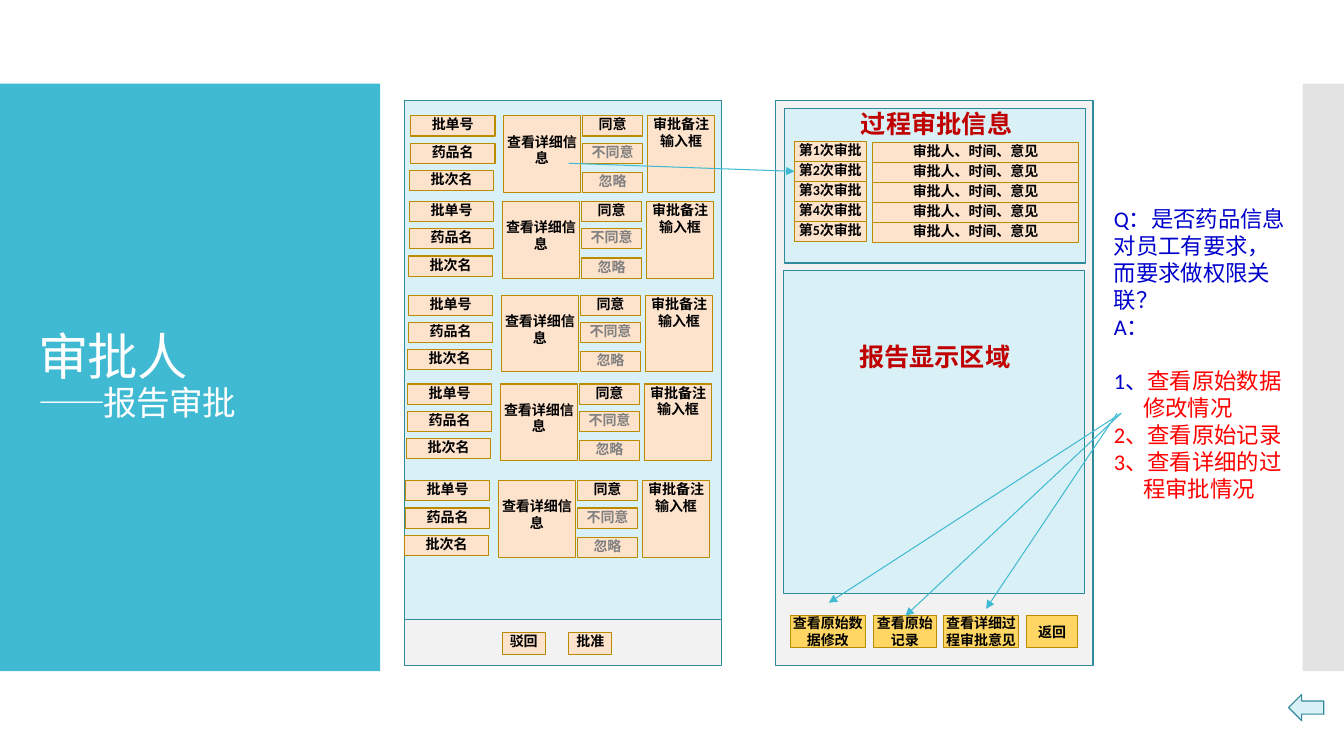
"""Builds the report approval slide with its two wireframe panels and notes."""
import pptx
import pptx.dml.color
import pptx.enum.shapes
import pptx.enum.text
import pptx.oxml
import pptx.oxml.ns
import pptx.util

Inches = pptx.util.Inches
Pt = pptx.util.Pt
RGBColor = pptx.dml.color.RGBColor
Shape = pptx.enum.shapes.MSO_SHAPE
Align = pptx.enum.text.PP_ALIGN
Anchor = pptx.enum.text.MSO_ANCHOR

WHITE = RGBColor(0xFF, 0xFF, 0xFF)
BLACK = RGBColor(0x00, 0x00, 0x00)
GRAY = RGBColor(0x80, 0x80, 0x80)
SILVER = RGBColor(0xC8, 0xC8, 0xC8)
PALE_GRAY = RGBColor(0xF2, 0xF2, 0xF2)
TEAL = RGBColor(0x40, 0xBA, 0xD2)
DARK_TEAL = RGBColor(0x2F, 0x8A, 0x9B)
PALE_TEAL = RGBColor(0xD9, 0xF1, 0xF6)
PEACH = RGBColor(0xFD, 0xE2, 0xCC)
GOLD = RGBColor(0xFF, 0xD6, 0x63)
DARK_GOLD = RGBColor(0xBB, 0x8B, 0x00)
CRIMSON = RGBColor(0xC0, 0x00, 0x00)
RED = RGBColor(0xFF, 0x00, 0x00)
BLUE = RGBColor(0x00, 0x00, 0xCC)


class Wireframe:
    """Holds the current slide and its style, and draws each kind of element."""

    font_name = "Calibri"

    def __init__(self, slide):
        self.slide = slide

    def panel(self, left, top, width, height, fill, line=None, weight=0.85, kind=Shape.RECTANGLE):
        """Draw a filled shape, outlined when a line colour is given."""
        shape = self.slide.shapes.add_shape(
            kind, Inches(left), Inches(top), Inches(width), Inches(height))
        shape.shadow.inherit = False
        shape.fill.solid()
        shape.fill.fore_color.rgb = fill
        if line is None:
            shape.line.fill.background()
        else:
            shape.line.color.rgb = line
            shape.line.width = Pt(weight)
        return shape

    def span(self, para, text, size, color, bold=False):
        """Add one formatted run to a paragraph."""
        span = para.add_run()
        span.text = text
        formats = {"name": self.font_name, "size": Pt(size), "bold": bold}
        for key, value in formats.items():
            setattr(span.font, key, value)
        span.font.color.rgb = color
        return span

    def button(self, left, top, width, height, text, color=BLACK, fill=PEACH,
               anchor=Anchor.TOP, inset=0):
        """Draw a labelled box with a gold outline."""
        frame = self.panel(left, top, width, height, fill, DARK_GOLD, 0.75).text_frame
        formats = {"margin_left": 0, "margin_right": 0, "margin_top": Inches(inset),
                   "margin_bottom": 0, "word_wrap": True, "vertical_anchor": anchor}
        for key, value in formats.items():
            setattr(frame, key, value)
        para = frame.paragraphs[0]
        para.alignment = Align.CENTER
        self.span(para, text, 10, color, True)

    def textbox(self, left, top, width, height, anchor=Anchor.TOP):
        """Add a wrapping text box and return its frame."""
        box = self.slide.shapes.add_textbox(
            Inches(left), Inches(top), Inches(width), Inches(height))
        box.text_frame.word_wrap = True
        box.text_frame.vertical_anchor = anchor
        return box.text_frame

    def heading(self, left, top, width, text):
        """Add a centred panel heading."""
        para = self.textbox(left, top, width, 0.4).paragraphs[0]
        para.alignment = Align.CENTER
        self.span(para, text, 18, CRIMSON, True)

    def title(self, name, subtitle):
        """Add the slide title with a smaller second line."""
        para = self.textbox(0.28, 1.23, 3.22, 5.03, Anchor.MIDDLE).paragraphs[0]
        para.line_spacing = 0.9
        spans = [self.span(para, name, 36, WHITE)]
        para.add_line_break()
        spans.append(self.span(para, subtitle, 24, WHITE))
        for span in spans:
            span.font._element.set("spc", "-60")

    def notes(self, items):
        """Add the question and the hanging numbered remarks."""
        frame = self.textbox(10.95, 1.99, 1.94, 3.07)
        for index, (spans, hanging, gap) in enumerate(items):
            para = frame.paragraphs[0] if index == 0 else frame.add_paragraph()
            if hanging:
                properties = para._p.get_or_add_pPr()
                properties.set("marL", str(Inches(0.29)))
                properties.set("indent", str(Inches(-0.29)))
            para.space_before = Pt(gap)
            for text, color in spans:
                self.span(para, text, 16, color)

    def arrow(self, start, end):
        """Draw a thin connector ending in a triangle."""
        ends = [Inches(value) for value in (*start, *end)]
        line = self.slide.shapes.add_connector(pptx.enum.shapes.MSO_CONNECTOR.STRAIGHT, *ends)
        line.line.color.rgb = TEAL
        line.line.width = Pt(0.75)
        tail = pptx.oxml.ns.qn("a:tailEnd")
        line.line._get_or_add_ln().append(line._element.makeelement(tail, {"type": "triangle"}))
        effects = pptx.oxml.ns.qn("a:effectLst")
        line._element.spPr.append(line._element.makeelement(effects, {}))

    def approval_card(self, left, top):
        """Draw one report entry with its fields and choices."""
        fields = [("批单号", 0, 0), ("药品名", 0, 0.27), ("批次名", -0.01, 0.54)]
        for text, shift, drop in fields:
            self.button(left + shift, top + drop, 0.84, 0.2, text)
        choices = [("同意", 0, BLACK), ("不同意", 0.27, GRAY), ("忽略", 0.56, GRAY)]
        for text, drop, color in choices:
            self.button(left + 1.71, top + drop, 0.59, 0.2, text, color)
        self.button(left + 2.35, top, 0.67, 0.76, "审批备注输入框")
        self.button(left + 0.92, top, 0.77, 0.76, "查看详细信息", inset=0.17)


def main():
    """Build the slide and save the deck."""
    deck = pptx.Presentation()
    deck.slide_width = Inches(13.33)
    deck.slide_height = Inches(7.5)
    page = Wireframe(deck.slides.add_slide(deck.slide_layouts[6]))

    page.panel(0, 0.83, 3.77, 5.83, TEAL)
    edge = page.panel(12.92, 0.83, 0.41, 5.83, SILVER)
    tint = edge._element.spPr.find(".//" + pptx.oxml.ns.qn("a:srgbClr"))
    tint.append(tint.makeelement(pptx.oxml.ns.qn("a:alpha"), {"val": "50000"}))
    page.title("审批人", "——报告审批")
    page.panel(12.78, 6.89, 0.35, 0.26, PALE_TEAL, DARK_TEAL, kind=Shape.LEFT_ARROW)

    page.panel(7.69, 1, 3.15, 5.6, PALE_GRAY, DARK_TEAL)
    page.panel(7.78, 1.08, 2.99, 1.53, PALE_TEAL, DARK_TEAL)
    page.heading(7.81, 1.03, 2.96, "过程审批信息")
    page.panel(7.77, 2.68, 2.99, 3.21, PALE_TEAL, DARK_TEAL)
    page.heading(7.88, 3.34, 2.78, "报告显示区域")
    for step in range(5):
        top = 1.4 + 0.2 * step
        page.button(7.88, top, 0.71, 0.2, f"第{step + 1}次审批")
        page.button(8.65, top + 0.01, 2.05, 0.2, "审批人、时间、意见")
    actions = [(7.84, 0.74, "查看原始数据修改"), (8.66, 0.63, "查看原始记录"),
               (9.36, 0.74, "查看详细过程审批意见"), (10.18, 0.51, "返回")]
    for left, width, text in actions:
        page.button(left, 6.11, width, 0.31, text, fill=GOLD, anchor=Anchor.MIDDLE)

    page.panel(4.01, 1, 3.15, 5.6, PALE_GRAY, DARK_TEAL)
    page.panel(4.01, 1, 3.15, 5.15, PALE_TEAL, DARK_TEAL)
    for left, text in [(4.98, "驳回"), (5.64, "批准")]:
        page.button(left, 6.27, 0.43, 0.22, text)
    for left, top in [(4.07, 1.15), (4.06, 2), (4.05, 2.93), (4.04, 3.81), (4.02, 4.77)]:
        page.approval_card(left, top)

    page.notes([
        ([("Q：是否药品信息对员工有要求，而要求做权限关联？", BLUE)], False, 0),
        ([("A：", BLUE)], False, 0),
        ([("1、", BLUE), ("查看原始数据修改情况", RED)], True, 19.5),
        ([("2、查看原始记录", RED)], True, 0),
        ([("3、查看详细的过程审批情况", RED)], True, 0),
    ])
    page.arrow((5.64, 1.62), (7.88, 1.7))
    for start, end in [(11.12, (8.22, 5.98)), (11.12, (8.98, 6.11)), (11.08, (9.78, 6.04))]:
        page.arrow((start, 4.1), end)
    deck.save("out.pptx")


if __name__ == "__main__":
    main()
